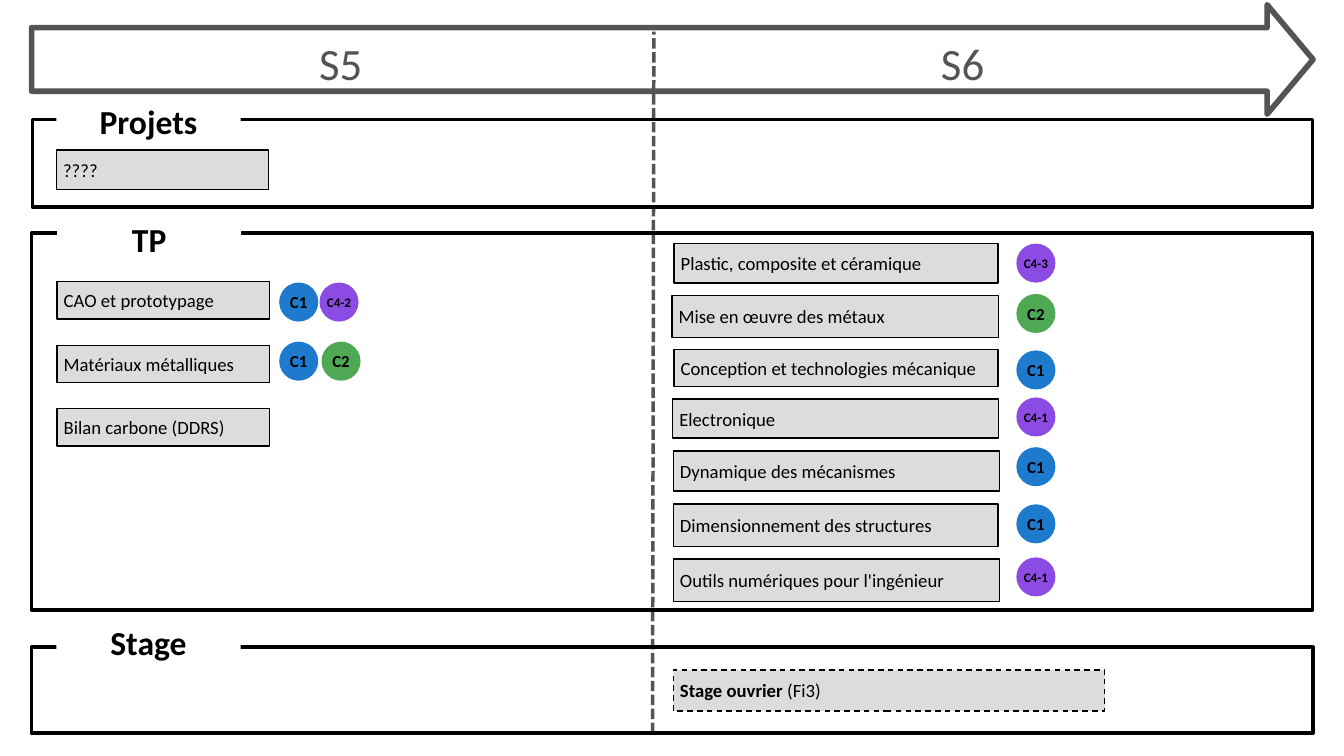
from lxml.etree import SubElement
from pptx import Presentation
from pptx.dml.color import RGBColor
from pptx.enum.dml import MSO_LINE
from pptx.enum.shapes import MSO_CONNECTOR, MSO_SHAPE
from pptx.enum.text import MSO_ANCHOR, PP_ALIGN
from pptx.oxml.ns import qn
from pptx.util import Emu, Pt

PX = 9144  # 100 px to the inch
FONT = "Calibri"
BLACK, WHITE, DARK_GREY, LIGHT_GREY = "000000", "FFFFFF", "545454", "DDDCDC"
BLUE, GREEN, PURPLE = "1E7ACC", "4FA954", "8C4BE2"
SKILL_COLORS = {"C1": BLUE, "C2": GREEN, "C4-1": PURPLE, "C4-2": PURPLE, "C4-3": PURPLE}
BADGE_SIZE = 55
SEMESTER_6_BADGE_LEFT = 1514

# Frame and heading: left, top, width, height
FRAMES = [(48, 178, 1905, 130), (47, 347, 1906, 561), (47, 963, 1907, 128)]
HEADINGS = [
    ("Projets", 84, 149, MSO_ANCHOR.MIDDLE),
    ("TP", 85, 321, MSO_ANCHOR.TOP),
    ("Stage", 84, 921, MSO_ANCHOR.TOP),
]

# Course: name, left, top, width, height
SEMESTER_5_COURSES = [
    ("????", 84, 223, 316, 59),
    ("CAO et prototypage", 85, 419, 316, 56),
    ("Matériaux métalliques", 85, 514, 316, 55),
    ("Bilan carbone (DDRS)", 85, 608, 316, 56),
]
SEMESTER_5_BADGES = [("C1", 417, 422), ("C4-2", 477, 422), ("C1", 417, 510), ("C2", 480, 510)]

# Course: name, left, top, width, height, skill, badge top
SEMESTER_6_COURSES = [
    ("Plastic, composite et céramique", 1003, 362, 482, 59, "C4-3", 364),
    ("Mise en œuvre des métaux", 1000, 440, 486, 62, "C2", 439),
    ("Conception et technologies mécanique", 1003, 520, 482, 55, "C1", 523),
    ("Electronique", 1001, 594, 485, 58, "C4-1", 593),
    ("Dynamique des mécanismes", 1002, 671, 485, 60, "C1", 667),
    ("Dimensionnement des structures", 1002, 750, 483, 63, "C1", 752),
    ("Outils numériques pour l'ingénieur", 1002, 832, 485, 63, "C4-1", 831),
]


def px(*lengths):
    return [Emu(length * PX) for length in lengths]


def color(hex_string):
    return RGBColor.from_string(hex_string)


def add_box(slide, kind, box, fill=None, line=None, line_width=1.5):
    shape = slide.shapes.add_shape(kind, *px(*box))
    shape.shadow.inherit = False
    if fill:
        shape.fill.solid()
        shape.fill.fore_color.rgb = color(fill)
    else:
        shape.fill.background()
    if line:
        shape.line.color.rgb = color(line)
        shape.line.width = Pt(line_width)
    else:
        shape.line.fill.background()
    return shape


def write(shape, runs, size, align=PP_ALIGN.LEFT, anchor=MSO_ANCHOR.MIDDLE,
          font_color=BLACK, inset=True):
    """Fill a shape with one paragraph of (text, bold) runs."""
    frame = shape.text_frame
    frame.word_wrap = True
    frame.vertical_anchor = anchor
    if not inset:
        frame.margin_left = frame.margin_right = 0
        frame.margin_top = frame.margin_bottom = 0
    paragraph = frame.paragraphs[0]
    paragraph.alignment = align
    for text, bold in runs:
        run = paragraph.add_run()
        run.text = text
        run.font.name = FONT
        run.font.size = Pt(size)
        run.font.bold = bold
        run.font.color.rgb = color(font_color)
    return paragraph


def add_semester(slide, name, left, width):
    text_box = slide.shapes.add_textbox(*px(left, 46, width, 83))
    paragraph = write(text_box, [(name, False)], 48, PP_ALIGN.CENTER,
                      MSO_ANCHOR.TOP, DARK_GREY, inset=False)
    paragraph.line_spacing = Pt(62.4)


def add_divider(slide):
    divider = slide.shapes.add_connector(MSO_CONNECTOR.STRAIGHT, *px(971, 1091, 973, 47))
    divider.line.color.rgb = color(DARK_GREY)
    divider.line.width = Pt(3.75)
    divider.line.dash_style = MSO_LINE.SQUARE_DOT
    SubElement(divider._element.spPr, qn("a:effectLst"))


def add_heading(slide, name, left, top, anchor):
    heading = add_box(slide, MSO_SHAPE.RECTANGLE, (left, top, 274, 61), fill=WHITE)
    write(heading, [(name, True)], 36, PP_ALIGN.CENTER, anchor)


def add_course(slide, runs, *box):
    course = add_box(slide, MSO_SHAPE.RECTANGLE, box, LIGHT_GREY, BLACK)
    write(course, runs, 20)
    return course


def add_badge(slide, skill, left, top):
    fill = SKILL_COLORS[skill]
    badge = add_box(slide, MSO_SHAPE.OVAL, (left, top, BADGE_SIZE, BADGE_SIZE), fill, fill, 2.25)
    size = 18 if len(skill) == 2 else 14
    write(badge, [(skill, True)], size, PP_ALIGN.CENTER, inset=False)


def main():
    presentation = Presentation()
    presentation.slide_width, presentation.slide_height = px(2000, 1125)
    slide = presentation.slides.add_slide(presentation.slide_layouts[6])

    # Timeline
    arrow = add_box(slide, MSO_SHAPE.RIGHT_ARROW, (47, 7, 1907, 163), line=DARK_GREY, line_width=6)
    arrow.adjustments[0] = 0.58
    arrow.adjustments[1] = 0.42
    add_divider(slide)
    add_semester(slide, "S5", 50, 914)
    add_semester(slide, "S6", 981, 903)

    # Frames with their headings
    for frame in FRAMES:
        add_box(slide, MSO_SHAPE.RECTANGLE, frame, line=BLACK, line_width=3.75)
    for heading in HEADINGS:
        add_heading(slide, *heading)

    # Semester 5
    for name, *box in SEMESTER_5_COURSES:
        add_course(slide, [(name, False)], *box)
    for badge in SEMESTER_5_BADGES:
        add_badge(slide, *badge)

    # Semester 6
    for name, *box, skill, badge_top in SEMESTER_6_COURSES:
        add_course(slide, [(name, False)], *box)
        add_badge(slide, skill, SEMESTER_6_BADGE_LEFT, badge_top)

    # Internship
    internship = add_course(slide, [("Stage ouvrier ", True), ("(Fi3)", False)],
                            1002, 997, 642, 61)
    internship.line.dash_style = MSO_LINE.DASH

    presentation.save("out.pptx")


if __name__ == "__main__":
    main()
